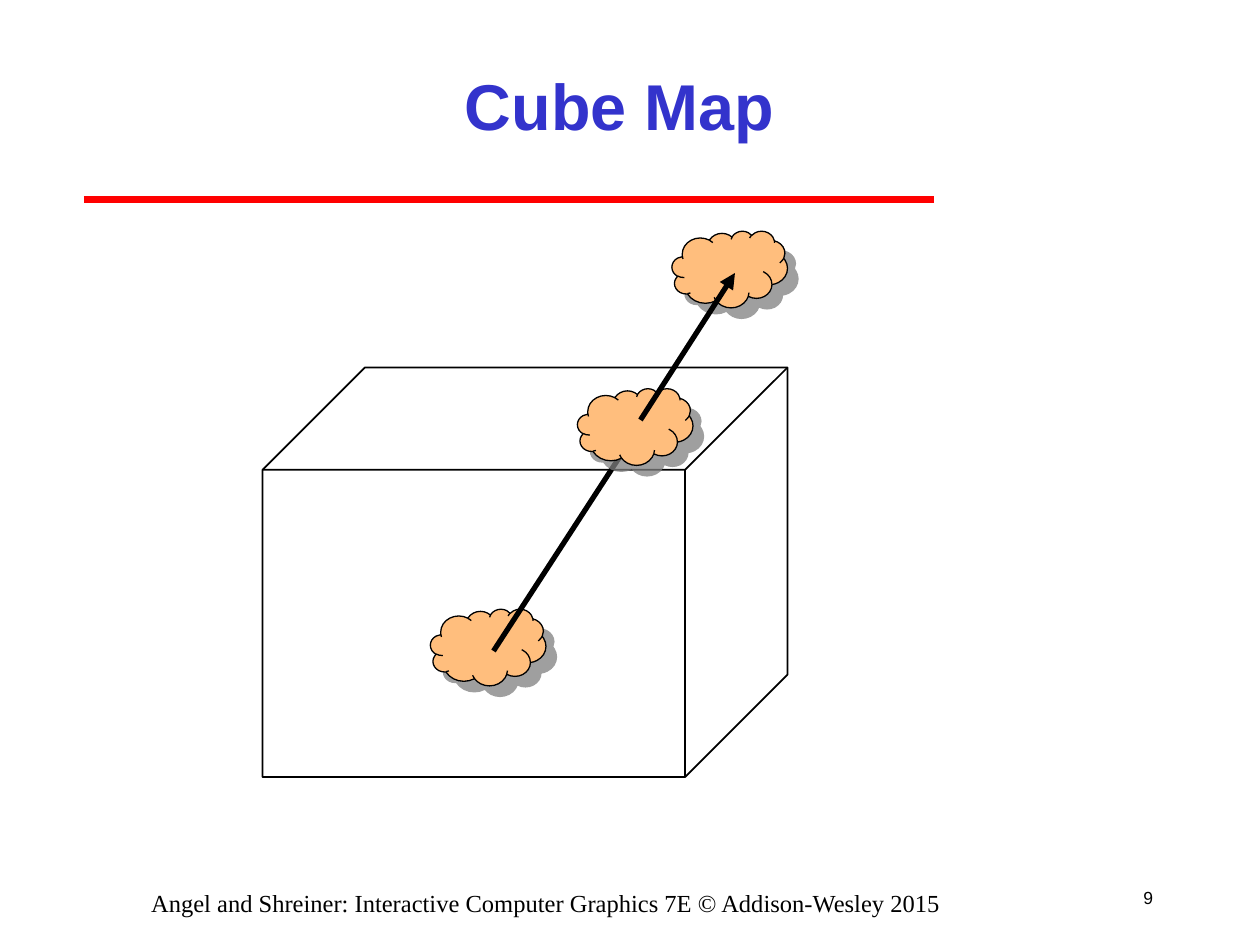
from lxml import etree
from pptx import Presentation
from pptx import util as u
from pptx.dml.color import RGBColor
from pptx.enum import shapes, text
from pptx.oxml.ns import qn

PX = 7620
C = {"title": "3333CC", "rule": "FF0000", "ink": "000000", "cloud": "FFBE7D", "shadow": "808080"}


def write(sp, words, color, align, anchor, wrap, **font):
    tf = sp.text_frame
    tf.word_wrap = wrap
    tf.auto_size = text.MSO_AUTO_SIZE.NONE
    tf.vertical_anchor = anchor
    p = tf.paragraphs[0]
    p.alignment = align
    r = p.add_run()
    r.text = words
    for key, value in font.items():
        setattr(r.font, key, value)
    r.font.color.rgb = RGBColor.from_string(C[color])


def line(x1, y1, x2, y2, color, width, arrow):
    sp = s.shapes.add_connector(shapes.MSO_CONNECTOR.STRAIGHT, x1 * PX, y1 * PX, x2 * PX, y2 * PX)
    sp.line.color.rgb = RGBColor.from_string(C[color])
    sp.line.width = u.Pt(width)
    if arrow:
        etree.SubElement(sp.line._get_or_add_ln(), qn("a:tailEnd"), type="triangle")
    etree.SubElement(sp._element.spPr, qn("a:effectLst"))


prs = Presentation()
prs.slide_width, prs.slide_height = 1200 * PX, 900 * PX
s = prs.slides.add_slide(prs.slide_layouts[5])

title = s.shapes.title
box = {"left": 180, "top": 30, "width": 820, "height": 140}
for key, value in box.items():
    setattr(title, key, value * PX)
write(title, "Cube Map", "title", text.PP_ALIGN.CENTER, text.MSO_ANCHOR.MIDDLE, True,
      name="Arial", size=u.Pt(37), bold=True)
line(80, 190, 890, 190, "rule", 4, False)

drawing = [
    ("cloud", 410, 580),
    ("cloud", 640, 220),
    ("arrow", 470, 620, 600, 420),
    ("cube", 250, 350),
    ("cloud", 550, 370),
    ("arrow", 610, 400, 700, 260),
]
solids = {
    "cloud": (shapes.MSO_SHAPE.CLOUD, 110, 73, 0.75),
    "cube": (shapes.MSO_SHAPE.CUBE, 500, 390, 1),
}
for kind, x, y, *end in drawing:
    if kind == "arrow":
        line(x, y, *end, "ink", 3, True)
        continue
    preset, w, h, width = solids[kind]
    sp = s.shapes.add_shape(preset, x * PX, y * PX, w * PX, h * PX)
    sp.line.color.rgb = RGBColor.from_string(C["ink"])
    sp.line.width = u.Pt(width)
    sp.shadow.inherit = False
    if kind == "cube":
        sp.adjustments[0] = 0.25
        sp.fill.background()
    else:
        sp.fill.solid()
        sp.fill.fore_color.rgb = RGBColor.from_string(C["cloud"])
        effects = sp._element.spPr.find(qn("a:effectLst"))
        shadow = etree.SubElement(effects, qn("a:outerShdw"), blurRad="0", dist=str(u.Pt(8.5)),
                                  dir="2700000", algn="ctr", rotWithShape="0")
        tint = etree.SubElement(shadow, qn("a:srgbClr"), val=C["shadow"])
        etree.SubElement(tint, qn("a:alpha"), val="75000")

footer = s.shapes.add_textbox(60 * PX, 840 * PX, 920 * PX, 30 * PX)
write(footer, "Angel and Shreiner: Interactive Computer Graphics 7E © Addison-Wesley 2015", "ink",
      text.PP_ALIGN.CENTER, text.MSO_ANCHOR.TOP, True, name="Times New Roman", size=u.Pt(14))
number = s.shapes.add_textbox(1060 * PX, 830 * PX, 50 * PX, 50 * PX)
write(number, "9", "ink", text.PP_ALIGN.RIGHT, text.MSO_ANCHOR.MIDDLE, False,
      name="Arial", size=u.Pt(10))

prs.save("out.pptx")
